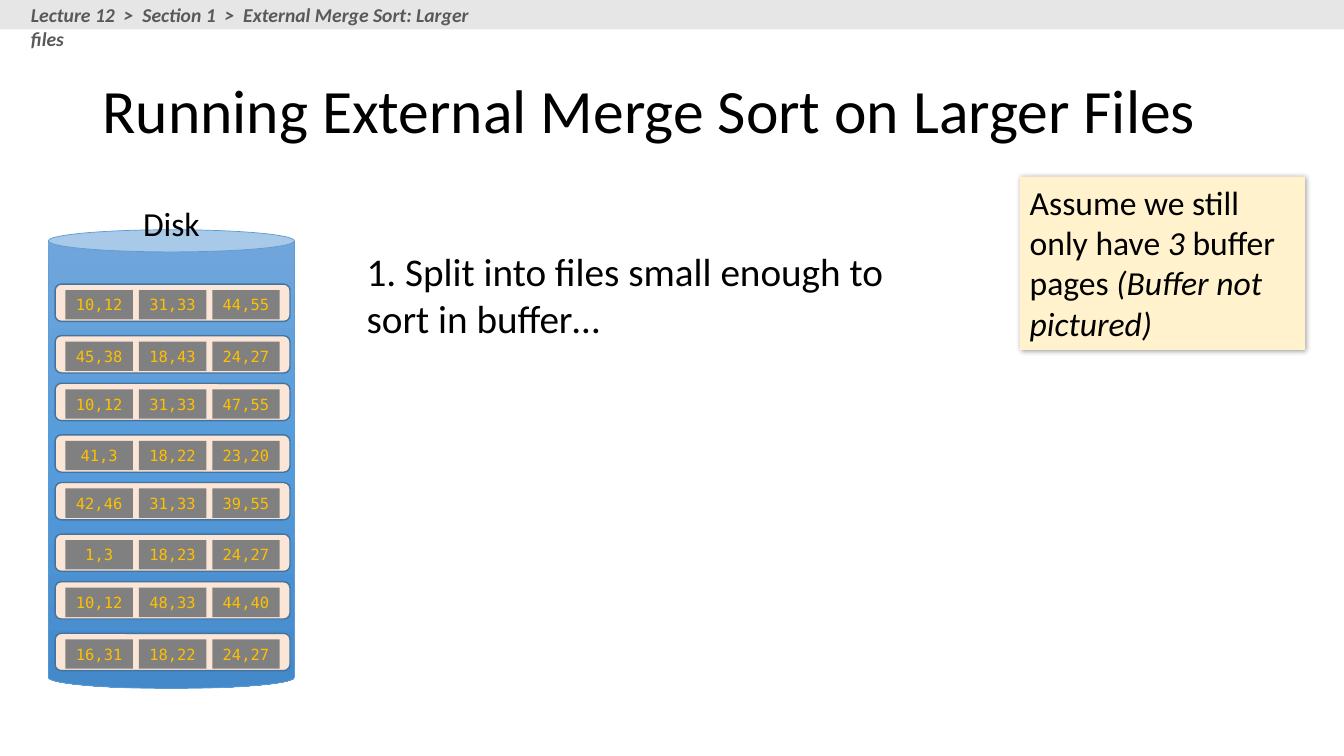
import copy

import pptx
import pptx.dml.color
import pptx.enum.shapes
import pptx.enum.text
import pptx.oxml
import pptx.oxml.ns
import pptx.util

Cm, Pt = pptx.util.Cm, pptx.util.Pt
SHAPE = pptx.enum.shapes.MSO_SHAPE
ALIGN = pptx.enum.text.PP_ALIGN
ANCHOR = pptx.enum.text.MSO_ANCHOR


def rgb(value):
    return pptx.dml.color.RGBColor.from_string(value)


class Deck:
    font = "Calibri"
    mono = "DejaVu Sans Mono"
    ink = "000000"

    def __init__(self, width, height):
        self.prs = pptx.Presentation()
        self.prs.slide_width, self.prs.slide_height = Cm(width), Cm(height)
        self.s = self.prs.slides.add_slide(self.prs.slide_layouts[6])

    def shape(self, kind, box, fill=None, line=None, weight=1, adj=None):
        sp = self.s.shapes.add_shape(kind, *map(Cm, box))
        sp.shadow.inherit = False
        if fill:
            sp.fill.solid()
            sp.fill.fore_color.rgb = rgb(fill)
        if line:
            sp.line.color.rgb = rgb(line)
            sp.line.width = Pt(weight)
        else:
            sp.line.fill.background()
        if adj is not None:
            sp.adjustments[0] = adj
        return sp

    def gradient(self, sp, colors):
        sp.fill.gradient()
        sp.fill.gradient_angle = 270
        stops = sp.element.spPr.find(".//" + pptx.oxml.ns.qn("a:gsLst"))
        while len(stops) < len(colors):
            stops.append(copy.deepcopy(stops[0]))
        for i, (stop, color) in enumerate(zip(sp.fill.gradient_stops, colors)):
            stop.position = i / (len(colors) - 1)
            stop.color.rgb = rgb(color)

    def drop_shadow(self, sp):
        effects = sp.element.spPr.find(pptx.oxml.ns.qn("a:effectLst"))
        effects.append(pptx.oxml.parse_xml(
            f'<a:outerShdw {pptx.oxml.ns.nsdecls("a")} blurRad="{Pt(4)}" '
            f'dist="{Pt(1)}" dir="2700000" algn="tl" rotWithShape="0">'
            '<a:srgbClr val="000000"><a:alpha val="40000"/></a:srgbClr>'
            '</a:outerShdw>'))

    def label(self, sp, runs, size, color=None, font=None, align=ALIGN.LEFT,
              anchor=ANCHOR.TOP, wrap=True):
        """Runs are (text, italic) pairs, or one plain string."""
        tf = sp.text_frame
        tf.word_wrap = wrap
        tf.vertical_anchor = anchor
        p = tf.paragraphs[0]
        p.alignment = align
        p.font.size = Pt(size)
        p.font.name = font or self.font
        p.font.color.rgb = rgb(color or self.ink)
        for text, italic in [(runs, None)] if isinstance(runs, str) else runs:
            r = p.add_run()
            r.text = text
            r.font.italic = italic
        return p

    def text(self, box, runs, size, **style):
        sp = self.s.shapes.add_textbox(*map(Cm, box))
        return self.label(sp, runs, size, **style)

    def page(self, box, values):
        sp = self.shape(SHAPE.RECTANGLE, box, "808080")
        self.label(sp, values, 11, "FFC000", self.mono, ALIGN.CENTER,
                   ANCHOR.MIDDLE, wrap=False)


def main():
    deck = Deck(33.87, 19.05)

    # Title
    p = deck.text((2.33, 1.02, 29.21, 3.68),
                  "Running External Merge Sort on Larger Files", 44,
                  anchor=ANCHOR.MIDDLE)
    p.line_spacing = 0.9

    # Disk
    disk = deck.shape(SHAPE.CAN, (1.22, 5.79, 6.2, 11.56), line="5B9BD5",
                      weight=0.5, adj=0.09)
    deck.gradient(disk, ["71A6DB", "559BDB", "448ACA"])
    deck.text((3.05, 4.98, 2.54, 1.27), "Disk", 24, align=ALIGN.CENTER)

    # Files on disk, in pairs of three pages each
    files = [
        ("10,12", "31,33", "44,55"), ("45,38", "18,43", "24,27"),
        ("10,12", "31,33", "47,55"), ("41,3", "18,22", "23,20"),
        ("42,46", "31,33", "39,55"), ("1,3", "18,23", "24,27"),
        ("10,12", "48,33", "44,40"), ("16,31", "18,22", "24,27"),
    ]
    for i, pages in enumerate(files):
        pair, second = divmod(i, 2)
        top = 7.16 + 2.5 * pair + 1.3 * second
        deck.shape(SHAPE.ROUNDED_RECTANGLE, (1.39, top, 5.92, 0.94),
                   "FBE5D6", "43739E")
        for col, values in enumerate(pages):
            deck.page((1.65 + 1.85 * col, top + 0.15, 1.7, 0.74), values)

    # Step
    deck.text((8.99, 6.1, 13.84, 2.64),
              "1. Split into files small enough to sort in buffer…", 28)

    # Buffer note
    note = deck.shape(SHAPE.RECTANGLE, (25.7, 4.45, 7.19, 4.37), "FFF2CC")
    deck.drop_shadow(note)
    deck.label(note, [("Assume we still only have ", False), ("3", True),
                      (" buffer pages ", False),
                      ("(Buffer not pictured)", True)], 24)

    # Breadcrumb band
    deck.shape(SHAPE.RECTANGLE, (0, 0, 33.87, 0.74), "E7E6E6")
    p = deck.text((0.53, -0.05, 12.24, 0.86),
                  "Lecture 12  >  Section 1  >  External Merge Sort: Larger files",
                  14, color="595959")
    p.font.bold = p.font.italic = True

    deck.prs.save("out.pptx")


if __name__ == "__main__":
    main()
